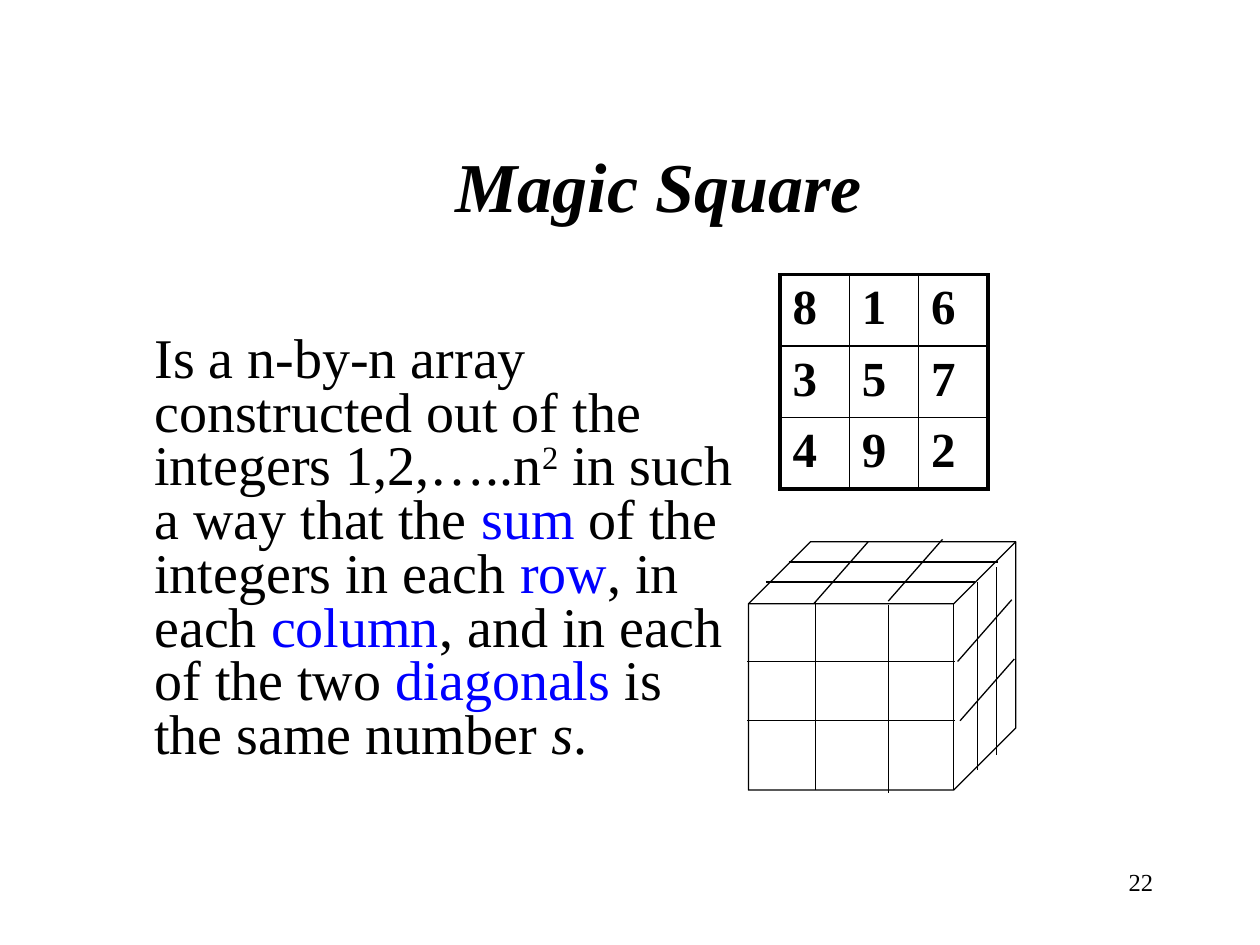
from lxml.etree import SubElement
from pptx import Presentation
from pptx.dml.color import RGBColor
from pptx.enum.shapes import MSO_CONNECTOR, MSO_SHAPE
from pptx.enum.text import MSO_ANCHOR, MSO_AUTO_SIZE, PP_ALIGN
from pptx.oxml.ns import qn
from pptx.util import Pt

FONT = "Times New Roman"
BLACK = "000000"
BLUE = "0000FF"
DEFINITION = [
    ("Is a n-by-n array constructed out of the integers 1,2,…..n", ""),
    ("2", "superscript"),
    (" in such a way that the ", ""),
    ("sum", "key"),
    (" of the integers in each ", ""),
    ("row", "key"),
    (", in each ", ""),
    ("column", "key"),
    (", and in each of the two ", ""),
    ("diagonals", "key"),
    (" is the same number ", ""),
    ("s", "italic"),
    (".", ""),
]
SQUARE = [[8, 1, 6], [3, 5, 7], [4, 9, 2]]
CUBE_LINES = [
    ((119.5, 0), [(23, 11.5), (10, 23)]),
    ((119, 0), [(-0.7, 68.4), (-0.7, 102.2)]),
    ((0, 107.5), [(38.2, 34.6), (79.9, 36), (141.8, 14.4), (131, 23)]),
    ((-31, 35.3), [(68.4, 0), (110.9, -1.4), (150.5, 33.1), (151.9, 67)]),
]


def color(value):
    return RGBColor.from_string(value)


def style(font, size, bold=False, italic=False):
    font.name = FONT
    font.size = Pt(size)
    font.bold = bold
    font.italic = italic
    font.color.rgb = color(BLACK)


def place(sp, box):
    sp.left, sp.top, sp.width, sp.height = (Pt(v) for v in box)


def add_title(s, box):
    sp = s.shapes.title
    place(sp, box)
    tf = sp.text_frame
    tf.text = "Magic Square"
    tf.vertical_anchor = MSO_ANCHOR.MIDDLE
    p = tf.paragraphs[0]
    p.alignment = PP_ALIGN.CENTER
    style(p.font, 40, bold=True, italic=True)


def add_definition(s, box):
    sp = s.placeholders[1]
    place(sp, box)
    tf = sp.text_frame
    tf.auto_size = MSO_AUTO_SIZE.NONE
    p = tf.paragraphs[0]
    p.line_spacing = 0.8
    p.space_before = Pt(0)
    style(p.font, 32)
    pPr = p._p.get_or_add_pPr()
    pPr.set("marL", str(Pt(27)))
    pPr.set("indent", "0")
    pPr.insert_element_before(pPr.makeelement(qn("a:buNone")), "a:tabLst", "a:defRPr", "a:extLst")
    for text, role in DEFINITION:
        r = p.add_run()
        r.text = text
        if role == "key":
            r.font.color.rgb = color(BLUE)
        elif role == "italic":
            r.font.italic = True
        elif role == "superscript":
            r.font._element.set("baseline", "30000")


def set_border(cell, side, width):
    ln = SubElement(cell._tc.get_or_add_tcPr(), qn(f"a:{side}"), w=str(Pt(width)))
    fill = SubElement(ln, qn("a:solidFill"))
    SubElement(fill, qn("a:srgbClr"), val=BLACK)


def add_square(s, box):
    n = len(SQUARE)
    table = s.shapes.add_table(n, n, *(Pt(v) for v in box)).table
    table.first_row = False
    table.horz_banding = False
    for i, row in enumerate(SQUARE):
        for j, number in enumerate(row):
            cell = table.cell(i, j)
            cell.text = str(number)
            style(cell.text_frame.paragraphs[0].font, 28, bold=True)
            outer = {"lnL": j == 0, "lnR": j == n - 1, "lnT": i == 0, "lnB": i == n - 1}
            for side, is_outer in outer.items():
                set_border(cell, side, 2.25 if is_outer else 1)
            cell.fill.background()


def add_line(s, x, y, dx, dy):
    line = s.shapes.add_connector(
        MSO_CONNECTOR.STRAIGHT, Pt(x), Pt(y), Pt(x + dx), Pt(y + dy))
    line.line.color.rgb = color(BLACK)
    line.line.width = Pt(0.75)
    SubElement(line._element.spPr, qn("a:effectLst"))


def add_cube(s, box):
    sp = s.shapes.add_shape(MSO_SHAPE.CUBE, *(Pt(v) for v in box))
    sp.adjustments[0] = 0.25
    sp.shadow.inherit = False
    sp.fill.background()
    sp.line.color.rgb = color(BLACK)
    sp.line.width = Pt(0.75)
    left, top = box[:2]
    for (dx, dy), starts in CUBE_LINES:
        for x, y in starts:
            add_line(s, left + x, top + y, dx, dy)


def add_page_number(s, box):
    tf = s.shapes.add_textbox(*(Pt(v) for v in box)).text_frame
    tf.word_wrap = True
    tf.text = "22"
    p = tf.paragraphs[0]
    p.alignment = PP_ALIGN.RIGHT
    style(p.font, 14)


def main():
    prs = Presentation()
    prs.slide_width, prs.slide_height = Pt(720), Pt(540)
    s = prs.slides.add_slide(prs.slide_layouts[1])
    add_title(s, (70.5, 60.5, 612, 90))
    add_definition(s, (54, 188, 373.5, 292))
    add_square(s, (445.7, 157, 118.8, 122.5))
    add_cube(s, (427.7, 309.6, 152.8, 141.9))
    add_page_number(s, (516, 492, 150, 36))
    prs.save("out.pptx")


if __name__ == "__main__":
    main()
